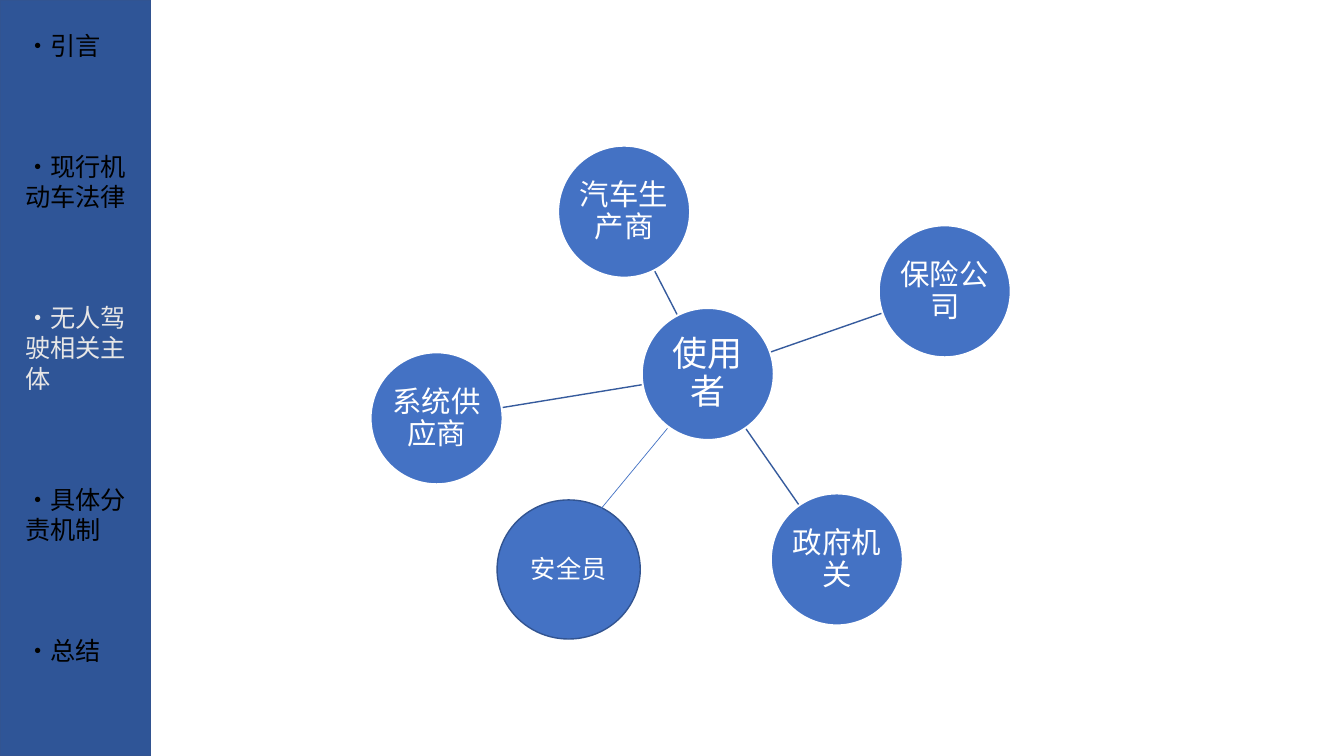
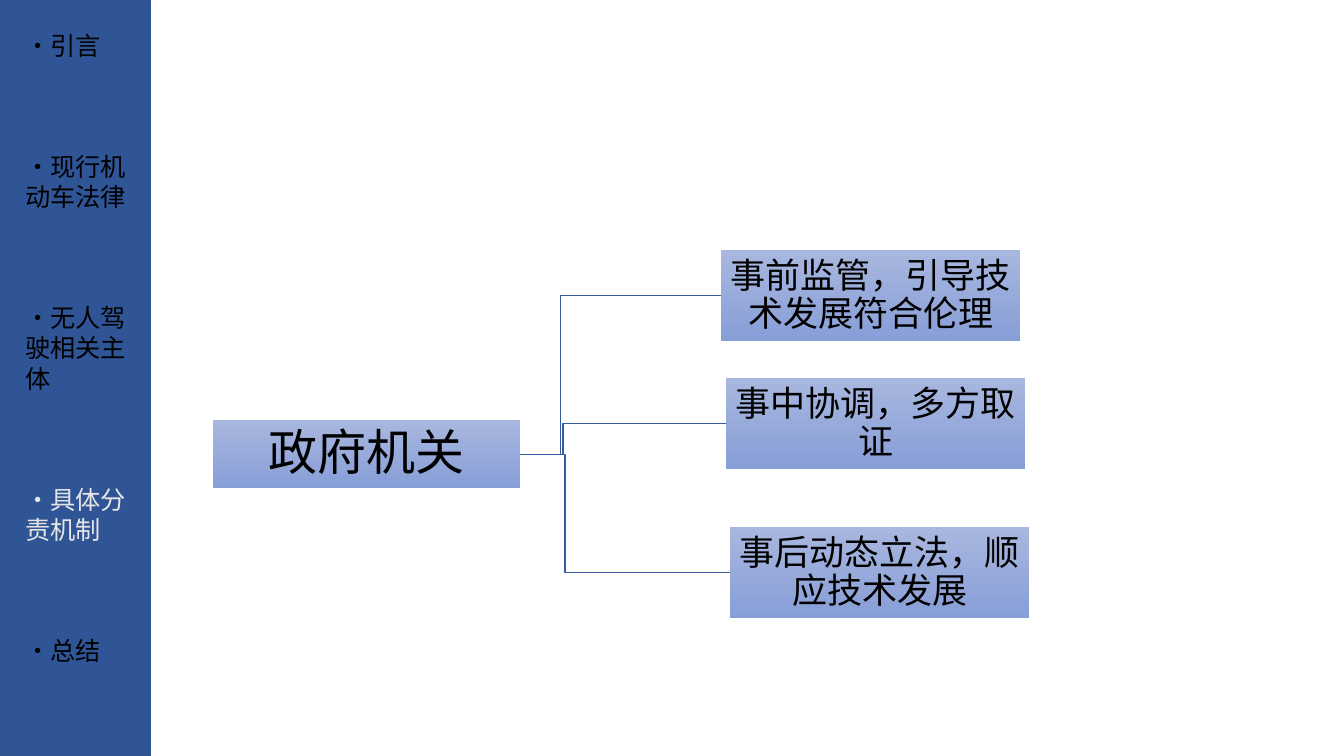
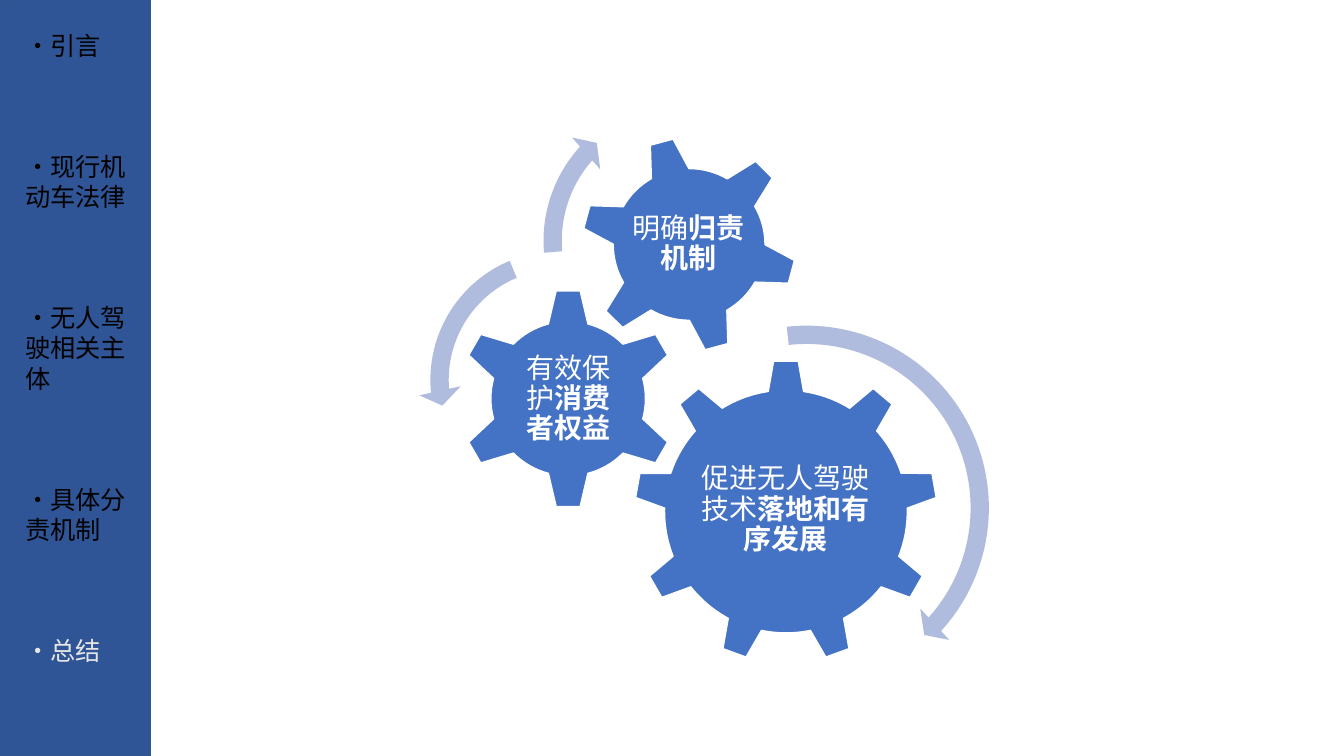
from math import hypot

from lxml.etree import SubElement
from pptx import Presentation
from pptx.dml.color import RGBColor
from pptx.enum.shapes import MSO_CONNECTOR, MSO_SHAPE
from pptx.enum.text import MSO_ANCHOR, PP_ALIGN
from pptx.oxml.ns import qn
from pptx.util import Inches, Pt

FONT = "Noto Sans CJK SC"
BLUE = "4472C4"
BAND_BLUE = "2F5597"
EDGE_BLUE = "325491"
LINK_BLUE = "365B9D"
ARROW_BLUE = "B0BCDE"
BOX_TOP = "A8B7DF"
BOX_BOTTOM = "889ED7"
WHITE = "FFFFFF"
BLACK = "000000"
ACTIVE = "E7E6E6"
SECTIONS = ["引言", "现行机动车法律", "无人驾驶相关主体", "具体分责机制", "总结"]


def paint(fill, color):
    fill.solid()
    fill.fore_color.rgb = RGBColor.from_string(color)


def set_text(frame, size, color, inset, leading=1.08,
             anchor=MSO_ANCHOR.MIDDLE, align=PP_ALIGN.CENTER):
    frame.word_wrap = True
    frame.vertical_anchor = anchor
    frame.margin_left = frame.margin_right = Inches(inset)
    frame.margin_top = frame.margin_bottom = Inches(inset)
    for para in frame.paragraphs:
        para.alignment = align
        para.line_spacing = Pt(size * leading)
        for span in para.runs:
            span.font.size = Pt(size)
            span.font.name = FONT
            paint(span.font.fill, color)
            SubElement(span._r.get_or_add_rPr(), qn("a:ea"), typeface=FONT)


deck = Presentation()
deck.slide_width = Inches(13.33)
deck.slide_height = Inches(7.5)

pages = []
for active in (2, 3, 4):
    page = deck.slides.add_slide(deck.slide_layouts[6])
    band = page.shapes.add_shape(MSO_SHAPE.RECTANGLE, 0, 0, Inches(1.49), deck.slide_height)
    band.shadow.inherit = False
    paint(band.fill, BAND_BLUE)
    paint(band.line.fill, EDGE_BLUE)
    band.line.width = Pt(1)
    menu = page.shapes.add_textbox(Inches(0.15), Inches(0.2), Inches(1.21), Inches(6.8)).text_frame
    menu.text = "\n".join("·" + section for section in SECTIONS)
    set_text(menu, 18, BLACK, 0.1, 1.2, MSO_ANCHOR.TOP, PP_ALIGN.LEFT)
    for para in menu.paragraphs[1:]:
        para.space_before = Pt(64.8)
    paint(menu.paragraphs[active].runs[0].font.fill, ACTIVE)
    pages.append(page)

parties_page, authority_page, summary_page = pages

hub_x, hub_y, radius = 7.02, 3.71, 0.655
parties = [
    ("使用者", hub_x, hub_y, 1.31, 1.31, 25, WHITE, 1.5),
    ("汽车生产商", 6.19, 2.1, 1.31, 1.31, 21, WHITE, 1.5),
    ("保险公司", 9.37, 2.89, 1.31, 1.31, 21, WHITE, 1.5),
    ("政府机关", 8.3, 5.55, 1.31, 1.31, 21, WHITE, 1.5),
    ("系统供应商", 4.33, 4.15, 1.31, 1.31, 21, WHITE, 1.5),
    ("安全员", 5.64, 5.65, 1.42, 1.38, 18, EDGE_BLUE, 1),
]
for name, x, y, width, height, size, edge, weight in parties:
    circle = parties_page.shapes.add_shape(
        MSO_SHAPE.OVAL, Inches(x - width / 2), Inches(y - height / 2), Inches(width), Inches(height))
    circle.shadow.inherit = False
    paint(circle.fill, BLUE)
    paint(circle.line.fill, edge)
    circle.line.width = Pt(weight)
    circle.text_frame.text = name
    set_text(circle.text_frame, size, WHITE, 0.01)

spokes = [(5.67, 5.4, 6.62, 4.25, BLUE, 0.5)]
for name, x, y, *rest in parties[1:5]:
    reach = (radius + 0.01) / hypot(x - hub_x, y - hub_y)
    dx, dy = reach * (x - hub_x), reach * (y - hub_y)
    spokes.append((hub_x + dx, hub_y + dy, x - dx, y - dy, LINK_BLUE, 1))
for x1, y1, x2, y2, color, weight in spokes:
    spoke = parties_page.shapes.add_connector(
        MSO_CONNECTOR.STRAIGHT, Inches(x1), Inches(y1), Inches(x2), Inches(y2))
    paint(spoke.line.fill, color)
    spoke.line.width = Pt(weight)
    SubElement(spoke._element.spPr, qn("a:effectLst"))

duties = [
    ("事前监管，引导技术发展符合伦理", 7.15, 2.48, 2.97, 0.9, 25),
    ("事中协调，多方取证", 7.2, 3.75, 2.97, 0.9, 25),
    ("事后动态立法，顺应技术发展", 7.24, 5.23, 2.97, 0.9, 25),
]
for text, left, top, width, height, size in duties:
    branch = authority_page.shapes.add_connector(
        MSO_CONNECTOR.ELBOW, Inches(3.97), Inches(4.51), Inches(left), Inches(top + height / 2))
    paint(branch.line.fill, LINK_BLUE)
    branch.line.width = Pt(1)
    SubElement(branch._element.spPr, qn("a:effectLst"))

for text, left, top, width, height, size in [("政府机关", 2.11, 4.17, 3.05, 0.67, 35)] + duties:
    box = authority_page.shapes.add_shape(
        MSO_SHAPE.RECTANGLE, Inches(left), Inches(top), Inches(width), Inches(height))
    box.shadow.inherit = False
    box.fill.gradient()
    box.fill.gradient_angle = 270
    for stop, color in zip(box.fill.gradient_stops, (BOX_TOP, BOX_BOTTOM)):
        stop.color.rgb = RGBColor.from_string(color)
    box.line.fill.background()
    box.text_frame.text = text
    set_text(box.text_frame, size, BLACK, 0.02)

gears = [
    (MSO_SHAPE.GEAR_9, 6.29, 3.57, 3.01, 0, (6.89, 4.28, 1.8, 1.55), "促进无人驾驶技术", "落地和有序发展"),
    (MSO_SHAPE.GEAR_6, 4.54, 2.86, 2.19, 0, (5.09, 3.42, 1.09, 1.08), "有效保护", "消费者权益"),
    (MSO_SHAPE.GEAR_6, 5.76, 1.35, 2.15, 345, (6.23, 1.82, 1.2, 1.2), "明确", "归责机制"),
]
for kind, left, top, side, turn, label_area, plain, strong in gears:
    gear = summary_page.shapes.add_shape(kind, Inches(left), Inches(top), Inches(side), Inches(side))
    gear.shadow.inherit = False
    gear.rotation = turn
    paint(gear.fill, BLUE)
    paint(gear.line.fill, WHITE)
    gear.line.width = Pt(1)
    label = summary_page.shapes.add_textbox(*map(Inches, label_area)).text_frame
    label.text = plain
    span = label.paragraphs[0].add_run()
    span.text = strong
    span.font.bold = True
    set_text(label, 20, WHITE, 0.03)

arrows = [
    (MSO_SHAPE.CIRCULAR_ARROW, 6.07, 3.11, 3.86, (0.047, 2.99, 25.327, 158.262, 0.055)),
    (MSO_SHAPE.LEFT_CIRCULAR_ARROW, 4.15, 2.37, 2.8, (0.065, 4.3, 104.891, 148.378, 0.075)),
    (MSO_SHAPE.CIRCULAR_ARROW, 5.27, 0.88, 3.02, (0.06, 3.941, 133.138, 105.082, 0.07)),
]
for kind, left, top, side, bends in arrows:
    arrow = summary_page.shapes.add_shape(kind, Inches(left), Inches(top), Inches(side), Inches(side))
    arrow.shadow.inherit = False
    for index, bend in enumerate(bends):
        arrow.adjustments[index] = bend
    paint(arrow.fill, ARROW_BLUE)
    arrow.line.fill.background()

deck.save("out.pptx")
